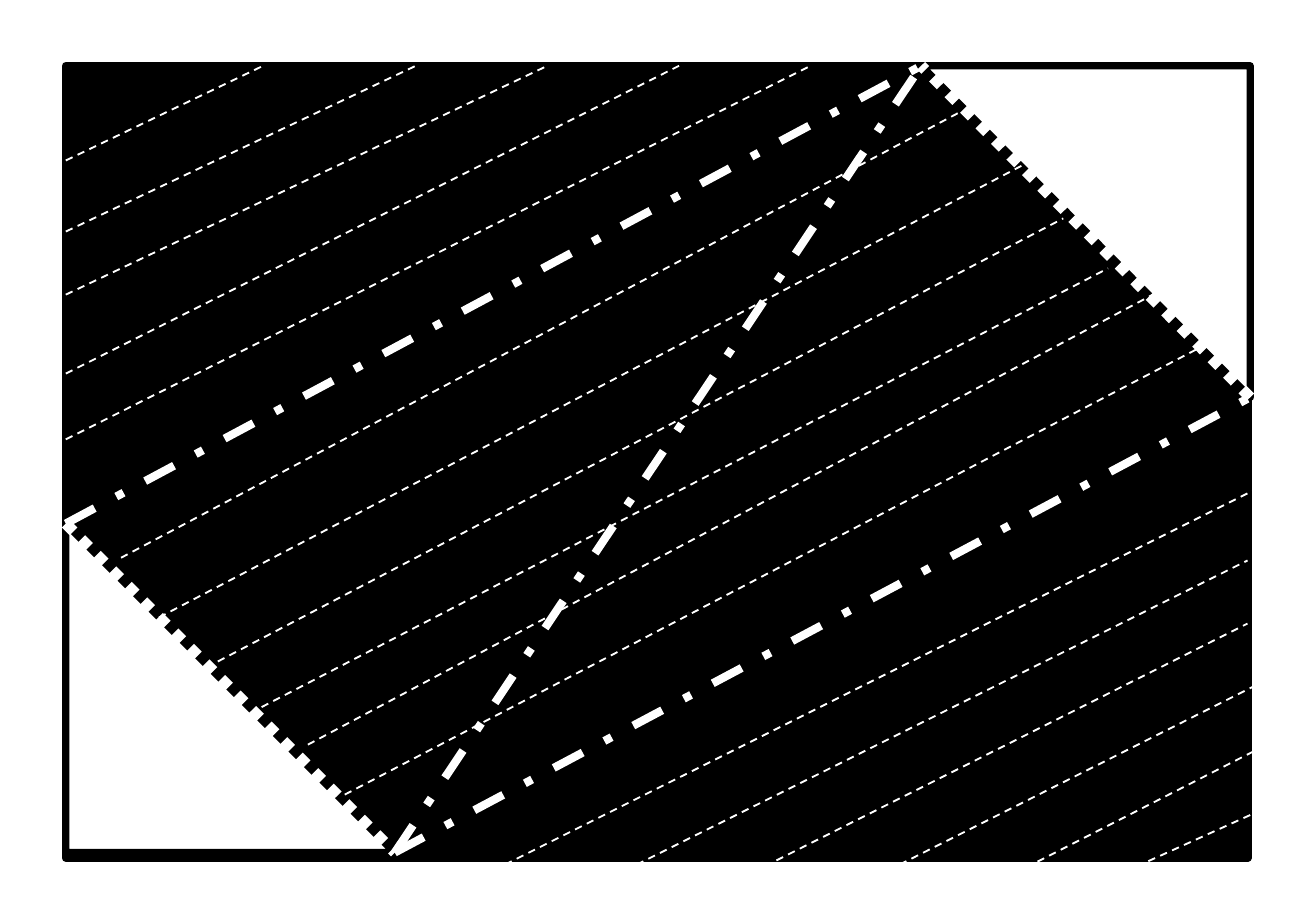
from lxml import etree
from pptx import Presentation
from pptx.dml.color import RGBColor
from pptx.enum.dml import MSO_LINE
from pptx.enum.shapes import MSO_CONNECTOR, MSO_SHAPE
from pptx.oxml.ns import qn
from pptx.util import Inches, Pt

PANEL = MSO_SHAPE.FLOWCHART_PROCESS
CORNER = MSO_SHAPE.RIGHT_TRIANGLE
STRAIGHT = MSO_CONNECTOR.STRAIGHT
DOTS, DASH_DOT, DASHES = MSO_LINE.ROUND_DOT, MSO_LINE.DASH_DOT, MSO_LINE.DASH

COLORS = {"ink": "000000", "paper": "FFFFFF"}
COLUMNS, ROWS = 20, 14
CELL = 0.25  # inches, square grid cells


class Diagram:
    """Style and current slide; all places are in columns and rows."""

    def __init__(self, slide):
        self.shapes = slide.shapes

    @staticmethod
    def cells(*values):
        return [Inches(value * CELL) for value in values]

    @staticmethod
    def color(name):
        return RGBColor.from_string(COLORS[name])

    def area(self, kind, box, fill, weight, rotation=0):
        shape = self.shapes.add_shape(kind, *self.cells(*box))
        shape.shadow.inherit = False
        shape.rotation = rotation
        shape.fill.solid()
        shape.fill.fore_color.rgb = self.color(fill)
        shape.line.color.rgb = self.color("ink")
        shape.line.width = Pt(weight)

    def stroke(self, start, end, weight, dash):
        line = self.shapes.add_connector(STRAIGHT, *self.cells(*start, *end))
        line.line.color.rgb = self.color("paper")
        line.line.width = Pt(weight)
        line.line.dash_style = dash
        etree.SubElement(line._element.spPr, qn("a:effectLst"))


prs = Presentation()
prs.slide_width, prs.slide_height = Diagram.cells(COLUMNS, ROWS)
diagram = Diagram(prs.slides.add_slide(prs.slide_layouts[6]))

# Corners of the central parallelogram
left, bottom = (1, 7.96), (6, 12.96)
top, right = (14, 1), (19, 6.04)

# Black panel with two cut-off corners
diagram.area(PANEL, (1, 1, 17.96, 12.04), "ink", 2.25)
diagram.area(CORNER, (14, 1, 5, 5.04), "paper", 2, rotation=180)
diagram.area(CORNER, (1, 7.96, 5, 5), "paper", 2)

# Dotted cut edges, then dash-dot folds
for start, end in ((left, bottom), (right, top)):
    diagram.stroke(start, end, 3, DOTS)
for start, end in ((left, top), (bottom, right), (bottom, top)):
    diagram.stroke(start, end, 2.25, DASH_DOT)

# Thin hatching: upper, middle and lower region
upper = [((1, row), (column, 1)) for row, column in (
    (2.44, 4), (3.52, 6.32), (4.48, 8.32), (5.68, 10.32), (6.68, 12.32))]
middle = [
    ((1.84, 8.48), (14.56, 1.72)),
    ((2.24, 9.48), (15.68, 2.44)),
    ((2.96, 10.24), (16.16, 3.32)),
    ((3.8, 10.84), (16.84, 4.08)),
    ((4.68, 11.32), (17.52, 4.48)),
    ((5.24, 12.08), (18.32, 5.24)),
]
lower = [
    ((7.32, 13.32), (19.32, 7.32)),
    ((9.32, 13.32), (18.96, 8.52)),
    ((11.8, 13.08), (18.96, 9.48)),
    ((13.32, 13.32), (19.12, 10.4)),
    ((14, 14), (19.8, 11.04)),
    ((14.56, 14.4), (20.48, 11.72)),
]
for start, end in upper + middle + lower:
    diagram.stroke(start, end, 0.5, DASHES)

prs.save("out.pptx")
